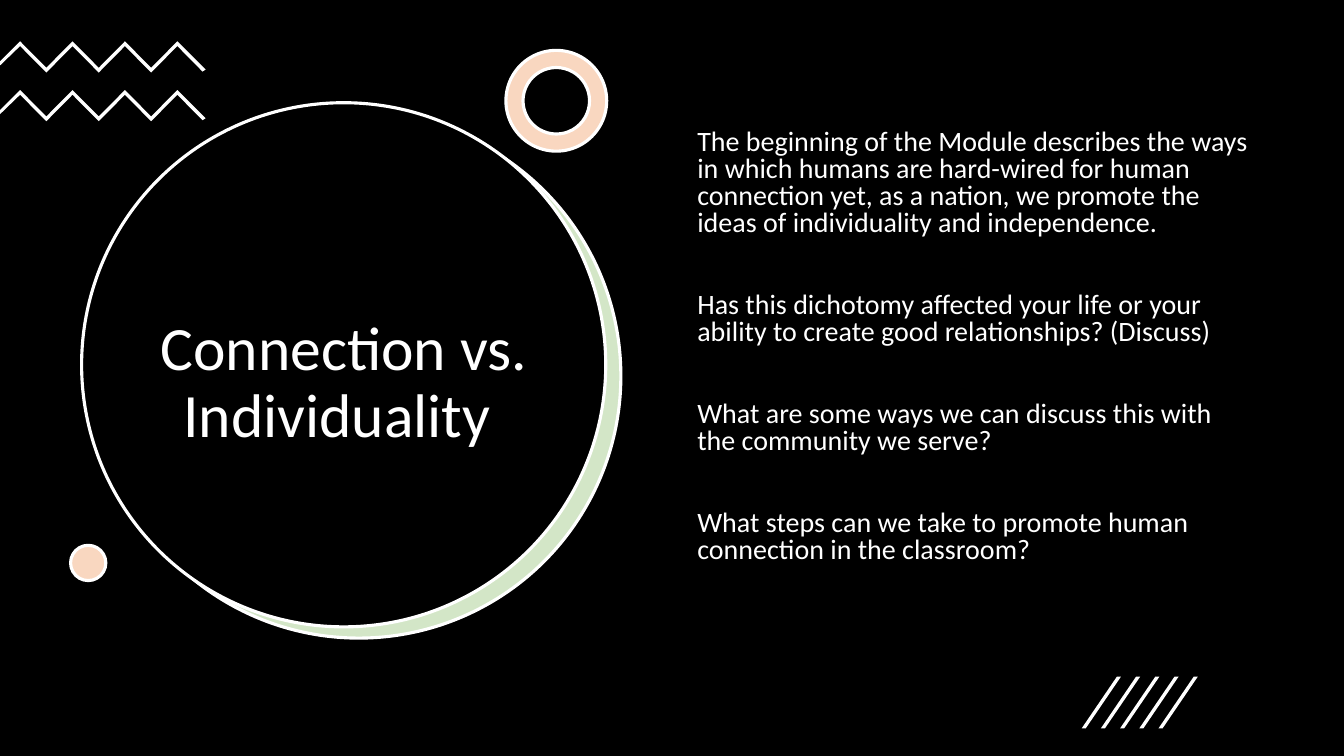
from dataclasses import dataclass
from typing import NamedTuple

from lxml import etree
from pptx import Presentation
from pptx.dml.color import RGBColor
from pptx.enum import shapes, text
from pptx.oxml import ns
from pptx.util import Pt


@dataclass(frozen=True)
class Theme:
    ground: str = "000000"
    ink: str = "FFFFFF"
    green: str = "70AD47"
    orange: str = "ED7D31"
    font: str = "Calibri"
    title_size: float = 44
    body_size: float = 20
    outline: float = 2.25
    tint: int = 30


class Box(NamedTuple):
    left: float
    top: float
    width: float
    height: float

    def points(self):
        return [Pt(value) for value in self]

    def moved(self, right, down):
        return self._replace(left=self.left + right, top=self.top + down)


THEME = Theme()
PAGE = Box(0, 0, 960, 540)
TITLE = "Connection vs. Individuality "
QUESTIONS = [
    "The beginning of the Module describes the ways in which humans are hard-wired for human "
    "connection yet, as a nation, we promote the ideas of individuality and independence.",
    "Has this dichotomy affected your life or your ability to create good relationships? (Discuss)",
    "What are some ways we can discuss this with the community we serve?",
    "What steps can we take to promote human connection in the classroom?",
]


def paint(shape, fill, line=None, opacity=100):
    shape.shadow.inherit = False
    shape.fill.solid()
    shape.fill.fore_color.rgb = RGBColor.from_string(fill)
    if opacity < 100:
        color = shape.fill._xPr.find(".//" + ns.qn("a:srgbClr"))
        etree.SubElement(color, ns.qn("a:alpha"), val=str(opacity * 1000))
    if line:
        shape.line.color.rgb = RGBColor.from_string(line)
        shape.line.width = Pt(THEME.outline)
    else:
        shape.line.fill.background()


def add_preset(page, kind, box, fill, line=None, opacity=100):
    shape = page.shapes.add_shape(kind, *box.points())
    paint(shape, fill, line, opacity)
    return shape


def add_tinted(page, kind, box, tint, band=None):
    """A white base under a translucent, white-edged layer of the tint."""
    layers = [(THEME.ink, None, 100), (tint, THEME.ink, THEME.tint)]
    for layer in layers:
        shape = add_preset(page, kind, box, *layer)
        if band is not None:
            shape.adjustments[0] = band


def add_polygon(group, corners, box):
    corners = [(Pt(box.left + x), Pt(box.top + y)) for x, y in corners]
    builder = group.shapes.build_freeform(*corners[0], scale=1.0)
    builder.add_line_segments(corners[1:], close=True)
    paint(builder.convert_to_shape(), THEME.ink)


def add_text(page, box, paragraphs, size, anchor, para_format, gap=0):
    frame = page.shapes.add_textbox(*box.points()).text_frame
    frame.word_wrap = True
    frame.vertical_anchor = anchor
    span_format = {"name": THEME.font, "size": Pt(size)}
    for index, words in enumerate(paragraphs):
        para = frame.add_paragraph() if index else frame.paragraphs[0]
        spacing = {"space_before": Pt(gap if index else 0)}
        for name, value in {**para_format, **spacing}.items():
            setattr(para, name, value)
        span = para.add_run()
        span.text = words
        for name, value in span_format.items():
            setattr(span.font, name, value)
        span.font.color.rgb = RGBColor.from_string(THEME.ink)


def add_title_disc(page, box):
    """The round title panel with a green crescent at its lower right."""
    oval = shapes.MSO_SHAPE.OVAL
    add_tinted(page, oval, box.moved(10.8, 8), THEME.green)
    add_preset(page, oval, box, THEME.ground, THEME.ink)
    title_box = Box(box.left + 28.8, box.top + 74.2, 317.5, 253.4)
    add_text(page, title_box, [TITLE], THEME.title_size, text.MSO_ANCHOR.MIDDLE,
             {"alignment": text.PP_ALIGN.CENTER, "line_spacing": 0.9})


def add_zigzags(page, box, rows=2, pitch=34.8, thickness=3.4):
    first, step, depth = 14.4, 18.72, 18.9
    upper = [(first + step * turn, depth * (turn % 2)) for turn in range(7)]
    lower = [(x, y + thickness) for x, y in reversed(upper)]
    right_end = [(box.width, 20.2), (box.width - 2.2, 21.6)]
    left_end = [(0, 17.3), (0, 14.4)]
    group = page.shapes.add_group_shape()
    for row in range(rows):
        add_polygon(group, upper + right_end + lower + left_end, box.moved(0, pitch * row))


def add_slashes(page, box, count=5, slant=25.2, thickness=2.9):
    step = (box.width - slant - thickness) / (count - 1)
    corners = [(thickness, box.height), (0, box.height), (slant, 0), (slant + thickness, 0)]
    group = page.shapes.add_group_shape()
    for index in range(count):
        add_polygon(group, corners, box.moved(step * index, 0))


def build_slide(deck):
    page = deck.slides.add_slide(deck.slide_layouts[6])
    add_preset(page, shapes.MSO_SHAPE.RECTANGLE, PAGE, THEME.ground)
    add_title_disc(page, Box(58.3, 73.4, 374.4, 374.4))
    add_zigzags(page, Box(0, 29.5, 146.9, 57))
    add_tinted(page, shapes.MSO_SHAPE.DONUT, Box(361.4, 36, 72, 72), THEME.orange, band=0.17)
    add_tinted(page, shapes.MSO_SHAPE.OVAL, Box(50.4, 389.5, 25.2, 25.2), THEME.orange)
    add_text(page, Box(491, 89.3, 411, 342.7), QUESTIONS, THEME.body_size,
             text.MSO_ANCHOR.TOP, {"line_spacing": 0.8}, gap=39.5)
    add_slashes(page, Box(772.6, 483.3, 83, 37))


def main():
    deck = Presentation()
    deck.slide_width, deck.slide_height = Pt(PAGE.width), Pt(PAGE.height)
    build_slide(deck)
    deck.save("out.pptx")


if __name__ == "__main__":
    main()
